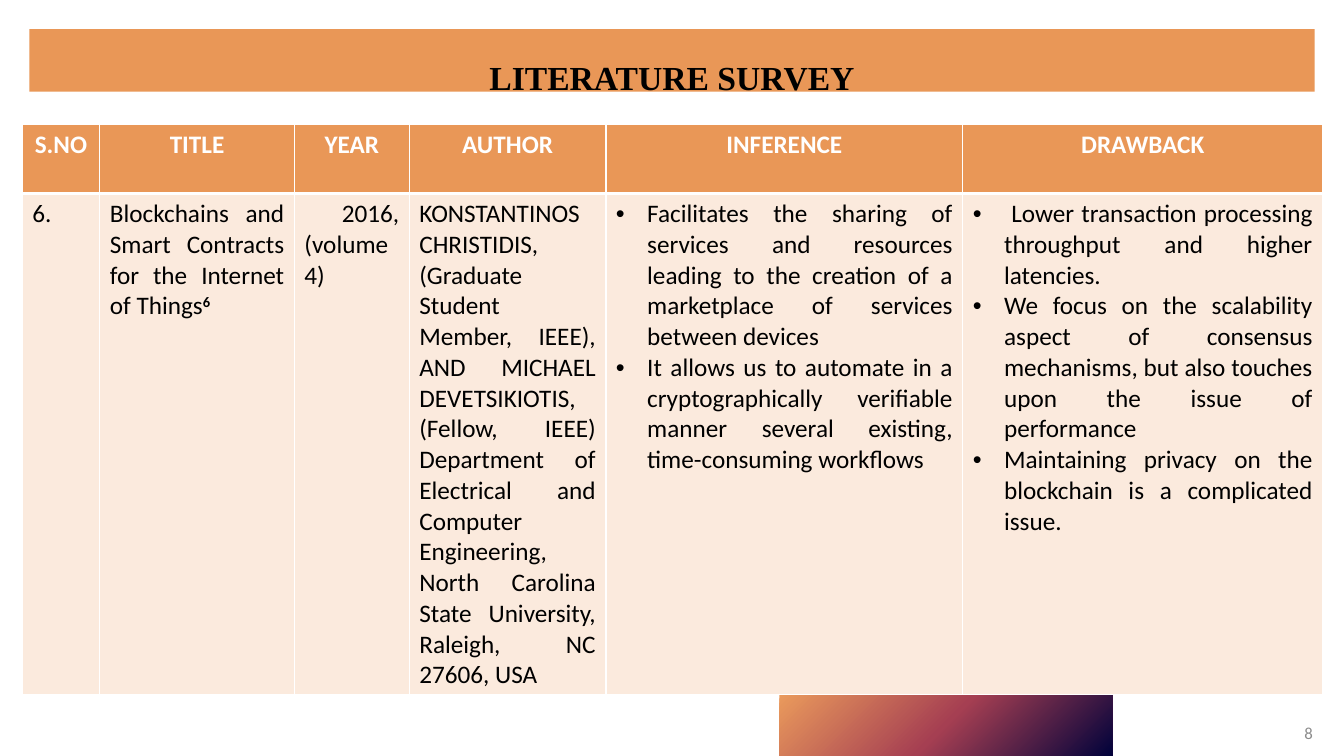
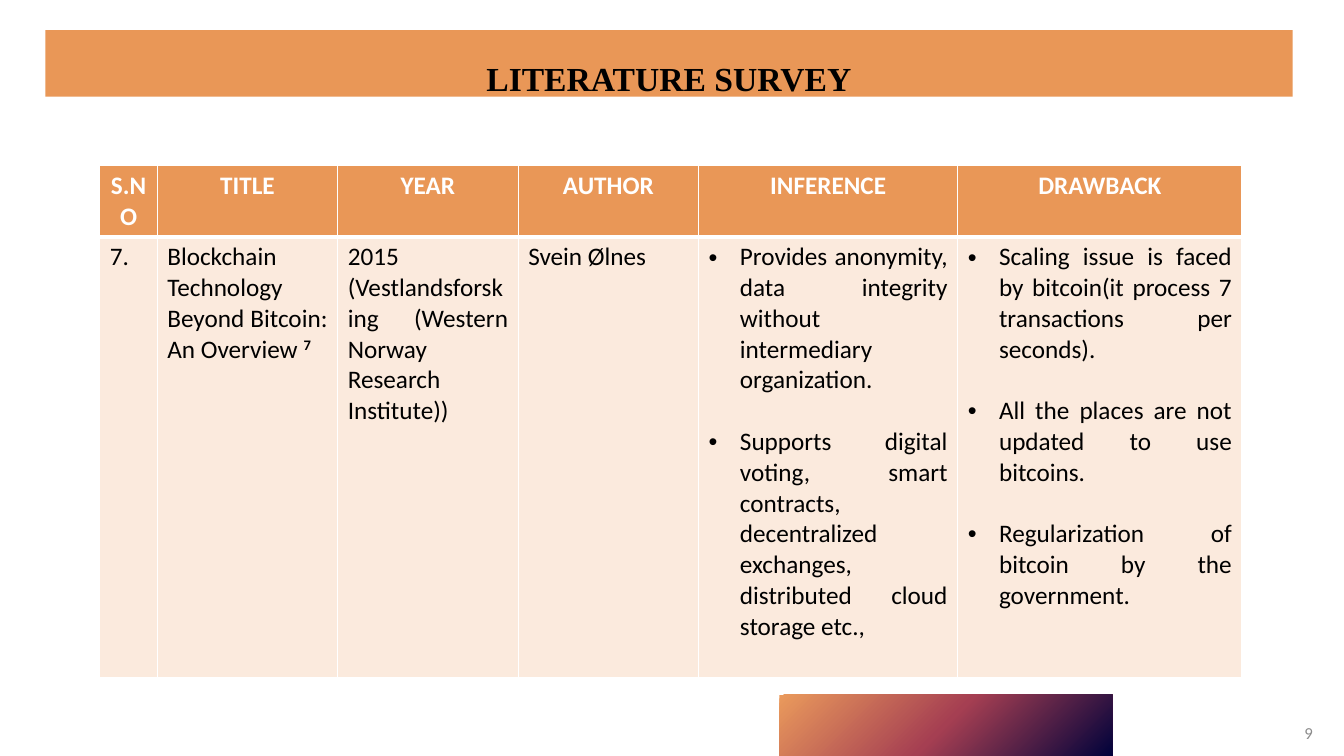
from lxml import etree
from pptx import Presentation, util as u
from pptx.dml.color import RGBColor
from pptx.enum import shapes, text
from pptx.oxml import parse_xml
from pptx.oxml.ns import nsdecls, qn

COLORS = {
    "band": "E99757", "row": "FBEADD", "white": "FFFFFF", "ink": "000000",
    "number": "8C8C8C", "navy": "01023B", "plum": "A53F52", "orange": "EA9A5C",
}
TITLE = dict(name="Times New Roman", size=u.Pt(24), bold=True)
HEAD = dict(name="Calibri", size=u.Pt(18), bold=True)
BODY = dict(HEAD, bold=False)
NUMBER = dict(BODY, size=u.Pt(12))
HEADINGS = ["S.NO", "TITLE", "YEAR", "AUTHOR", "INFERENCE", "DRAWBACK"]
WIDTH, HEIGHT = 13.33, 7.5
BULLET_INDENT = u.Inches(0.31)

# A cell is one text or a list of bullets; "^" starts a superscript.
SURVEYS = [
    dict(
        number="8", title_at=(0.29, 0.29, 12.75, 0.62), table_at=(0.22, 1.23),
        columns=[0.77, 1.93, 1.14, 1.95, 3.54, 3.57], rows=[0.69, 4.97], bullet_gap=0,
        entry=[
            "6.",
            "Blockchains and Smart Contracts for the Internet of Things^6",
            " 2016, (volume 4)",
            "KONSTANTINOS CHRISTIDIS, (Graduate Student Member, IEEE), AND MICHAEL "
            "DEVETSIKIOTIS, (Fellow, IEEE) Department of Electrical and Computer "
            "Engineering, North Carolina State University, Raleigh, NC 27606, USA",
            ["Facilitates the sharing of services and resources leading to the "
             "creation of a marketplace of services between devices",
             "It allows us to automate in a cryptographically verifiable manner "
             "several existing, time-consuming workflows"],
            [" Lower transaction processing throughput and higher latencies.",
             "We focus on the scalability aspect of consensus mechanisms, but also "
             "touches upon the issue of performance",
             "Maintaining privacy on the blockchain is a complicated issue."],
        ],
    ),
    dict(
        number="9", title_at=(0.45, 0.3, 12.37, 0.66), table_at=(0.99, 1.64),
        columns=[0.57, 1.79, 1.79, 1.79, 2.57, 2.82], rows=[0.71, 4.37], bullet_gap=22,
        entry=[
            "7.",
            "Blockchain Technology Beyond Bitcoin: An Overview ^7",
            "2015 (Vestlandsforsking (Western Norway Research Institute))",
            "Svein Ølnes",
            ["Provides anonymity, data integrity without intermediary organization.",
             "Supports digital voting, smart contracts, decentralized exchanges, "
             "distributed cloud storage etc.,"],
            ["Scaling issue is faced by bitcoin(it process 7 transactions per seconds).",
             "All the places are not updated to use bitcoins.",
             "Regularization of bitcoin by the government."],
        ],
    ),
]


def write(paragraph, content, style, color, align):
    """Fill a paragraph; the part after "^" becomes a bold superscript."""
    paragraph.alignment = align
    for index, part in enumerate(content.split("^")):
        run = paragraph.add_run()
        run.text = part
        for key, value in style.items():
            setattr(run.font, key, value)
        run.font.color.rgb = RGBColor.from_string(COLORS[color])
        if index:
            run.font.bold = True
            run.font._element.set("baseline", "30000")


def paint_cell(cell, color, bottom_width):
    """Give a cell white borders and a plain fill."""
    properties = cell._tc.get_or_add_tcPr()
    for side, points in (("L", 1), ("R", 1), ("T", 1), ("B", bottom_width)):
        border = etree.SubElement(properties, qn(f"a:ln{side}"), w=str(u.Pt(points)))
        fill = etree.SubElement(border, qn("a:solidFill"))
        etree.SubElement(fill, qn("a:srgbClr"), val=COLORS["white"])
    cell.fill.solid()
    cell.fill.fore_color.rgb = RGBColor.from_string(COLORS[color])


prs = Presentation()
prs.slide_width, prs.slide_height = u.Inches(WIDTH), u.Inches(HEIGHT)
layout = prs.slide_layouts.get_by_name("Title Only")
slides = [prs.slides.add_slide(layout) for _ in SURVEYS]

# The footer band is built once and moved to the shared layout.
footer = slides[0].shapes.add_shape(
    shapes.MSO_SHAPE.RECTANGLE, u.Inches(7.73), u.Inches(6.89), u.Inches(3.3), u.Inches(0.61))
footer.shadow.inherit = False
footer.line.fill.background()
stops = "".join(
    f'<a:gs pos="{position}"><a:srgbClr val="{COLORS[name]}"/></a:gs>'
    for position, name in ((0, "navy"), (50000, "plum"), (100000, "orange")))
footer._element.spPr.find(qn("a:prstGeom")).addnext(parse_xml(
    f'<a:gradFill {nsdecls("a")}><a:gsLst>{stops}</a:gsLst>'
    '<a:path path="circle"><a:fillToRect l="100000" t="100000"/></a:path></a:gradFill>'))
footer._element.nvSpPr.cNvPr.set("id", "20")
layout.shapes.element.insert(2, footer._element)

for slide, survey in zip(slides, SURVEYS):
    title = slide.shapes.title
    title.left, title.top, title.width, title.height = map(u.Inches, survey["title_at"])
    title.fill.solid()
    title.fill.fore_color.rgb = RGBColor.from_string(COLORS["band"])
    frame_format = dict(auto_size=text.MSO_AUTO_SIZE.NONE, margin_top=u.Inches(0.07),
                        vertical_anchor=text.MSO_ANCHOR.TOP)
    for key, value in frame_format.items():
        setattr(title.text_frame, key, value)
    heading = title.text_frame.paragraphs[0]
    heading.line_spacing, heading.space_before = 1.5, u.Pt(0)
    write(heading, "LITERATURE SURVEY", TITLE, "ink", text.PP_ALIGN.CENTER)

    page = slide.shapes.add_textbox(
        u.Inches(12.63), u.Inches(7.07), u.Inches(0.49), u.Inches(0.4)).text_frame
    page.word_wrap, page.vertical_anchor = True, text.MSO_ANCHOR.MIDDLE
    write(page.paragraphs[0], survey["number"], NUMBER, "number", text.PP_ALIGN.RIGHT)

    columns, rows = survey["columns"], survey["rows"]
    table = slide.shapes.add_table(
        len(rows), len(columns), *map(u.Inches, survey["table_at"]),
        u.Inches(sum(columns)), u.Inches(sum(rows))).table
    for row, height in zip(table.rows, rows):
        row.height = u.Inches(height)

    for index, (width, label, content) in enumerate(zip(columns, HEADINGS, survey["entry"])):
        table.columns[index].width = u.Inches(width)
        head, body = table.cell(0, index), table.cell(1, index)
        paint_cell(head, "band", 3)
        paint_cell(body, "row", 1)
        write(head.text_frame.paragraphs[0], label, HEAD, "white", text.PP_ALIGN.CENTER)

        bulleted = isinstance(content, list)
        for order, item in enumerate(content if bulleted else [content]):
            frame = body.text_frame
            paragraph = frame.add_paragraph() if order else frame.paragraphs[0]
            if bulleted:
                properties = paragraph._p.get_or_add_pPr()
                properties.set("marL", str(BULLET_INDENT))
                properties.set("indent", str(-BULLET_INDENT))
                etree.SubElement(properties, qn("a:buFont"), typeface="Arial")
                etree.SubElement(properties, qn("a:buChar"), char="•")
            if order:
                paragraph.space_before = u.Pt(survey["bullet_gap"])
            write(paragraph, item, BODY, "ink", text.PP_ALIGN.JUSTIFY)

prs.save("out.pptx")
